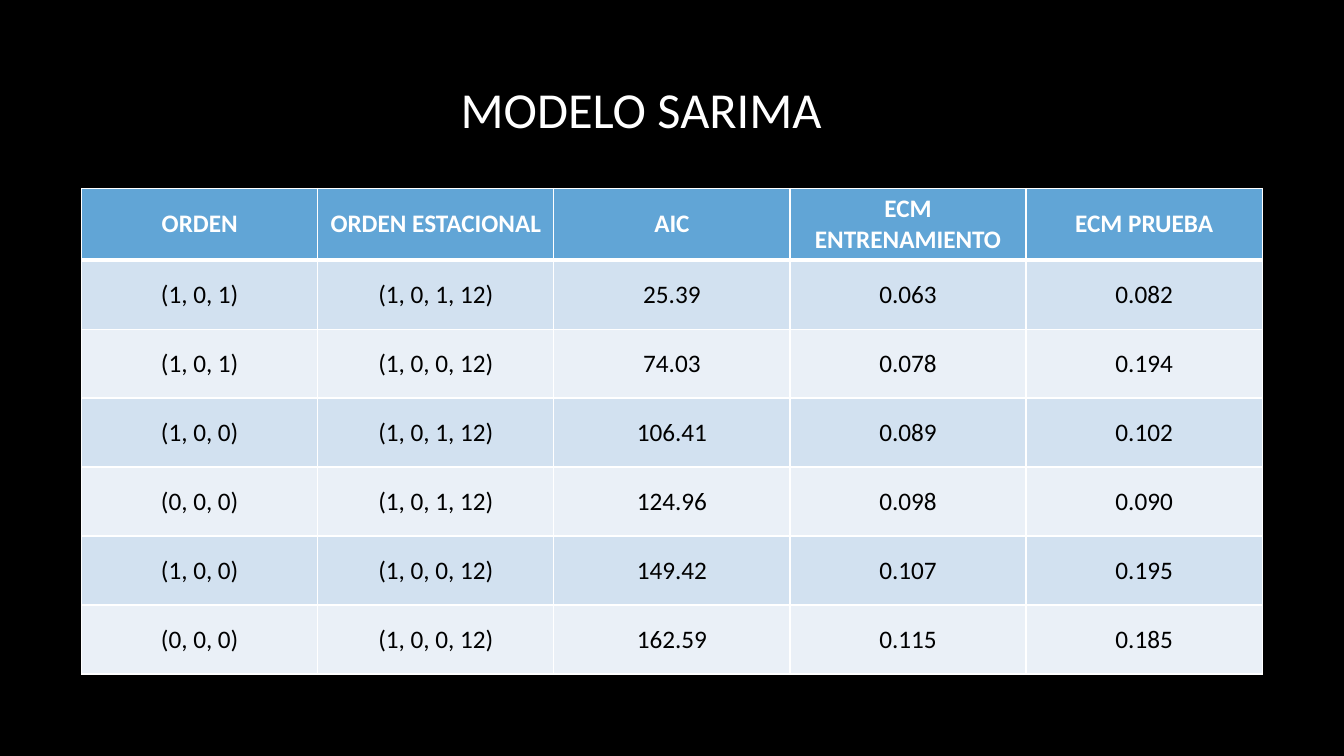
"""Build the SARIMA model comparison slide."""
from dataclasses import dataclass
from lxml import etree
from pptx import Presentation
from pptx.dml.color import RGBColor
from pptx.enum.text import MSO_ANCHOR, PP_ALIGN
from pptx.oxml.ns import qn
from pptx.util import Inches, Pt

MIDDLE = MSO_ANCHOR.MIDDLE
CENTER = PP_ALIGN.CENTER

TITLE = "MODELO SARIMA"
HEADS = ("ORDEN", "ORDEN ESTACIONAL", "AIC", "ECM ENTRENAMIENTO", "ECM PRUEBA")
MODELS = [
    ("(1, 0, 1)", "(1, 0, 1, 12)", "25.39", "0.063", "0.082"),
    ("(1, 0, 1)", "(1, 0, 0, 12)", "74.03", "0.078", "0.194"),
    ("(1, 0, 0)", "(1, 0, 1, 12)", "106.41", "0.089", "0.102"),
    ("(0, 0, 0)", "(1, 0, 1, 12)", "124.96", "0.098", "0.090"),
    ("(1, 0, 0)", "(1, 0, 0, 12)", "149.42", "0.107", "0.195"),
    ("(0, 0, 0)", "(1, 0, 0, 12)", "162.59", "0.115", "0.185"),
]
WIDTH, HEIGHT = 13.33, 7.5
TITLE_BOX = (0.82, 0.28, 11.08, 1.59)
TABLE_BOX = (0.81, 1.87, 11.71, 4.79)


@dataclass(frozen=True)
class Theme:
    """Colours and type of the slide."""
    font: str = "Calibri"
    back: str = "000000"
    light: str = "FFFFFF"
    dark: str = "000000"
    head: str = "61A5D6"
    bands: tuple = ("D2E1F0", "EAF0F7")
    title: int = 36
    cell: int = 18
    thin: int = 1
    thick: int = 3


THEME = Theme()


def paint(fill, color):
    """Give a fill one solid colour."""
    fill.solid()
    fill.fore_color.rgb = RGBColor.from_string(color)


def write(frame, text, size, color, bold=False):
    """Set centred text and format its run."""
    frame.text = text
    para = frame.paragraphs[0]
    para.alignment = CENTER
    font = para.runs[0].font
    font.name, font.size, font.bold = THEME.font, Pt(size), bold
    font.color.rgb = RGBColor.from_string(color)


def border(cell, widths):
    """Draw the left, right, top and bottom edges of a cell."""
    props = cell._tc.get_or_add_tcPr()
    for side, width in zip("LRTB", widths):
        line = etree.SubElement(props, qn(f"a:ln{side}"), w=str(Pt(width)))
        solid = etree.SubElement(line, qn("a:solidFill"))
        etree.SubElement(solid, qn("a:srgbClr"), val=THEME.light)


def add_grid(slide):
    """Add the table with its header and banded rows."""
    rows = [HEADS, *MODELS]
    box = map(Inches, TABLE_BOX)
    table = slide.shapes.add_table(len(rows), len(HEADS), *box).table
    for r, row in enumerate(rows):
        is_head = r == 0
        fill = THEME.head if is_head else THEME.bands[(r - 1) % 2]
        ink = THEME.light if is_head else THEME.dark
        top = THEME.thick if r == 1 else THEME.thin
        base = THEME.thick if is_head else THEME.thin
        for c, text in enumerate(row):
            cell = table.cell(r, c)
            cell.vertical_anchor = MIDDLE
            write(cell.text_frame, text, THEME.cell, ink, is_head)
            border(cell, (THEME.thin, THEME.thin, top, base))
            paint(cell.fill, fill)


def main():
    """Build and save the slide."""
    deck = Presentation()
    deck.slide_width, deck.slide_height = Inches(WIDTH), Inches(HEIGHT)
    slide = deck.slides.add_slide(deck.slide_layouts[5])
    paint(slide.background.fill, THEME.back)
    title = slide.shapes.title
    title.left, title.top, title.width, title.height = map(Inches, TITLE_BOX)
    title.text_frame.vertical_anchor = MIDDLE
    write(title.text_frame, TITLE, THEME.title, THEME.light)
    add_grid(slide)
    deck.save("out.pptx")


if __name__ == "__main__":
    main()
